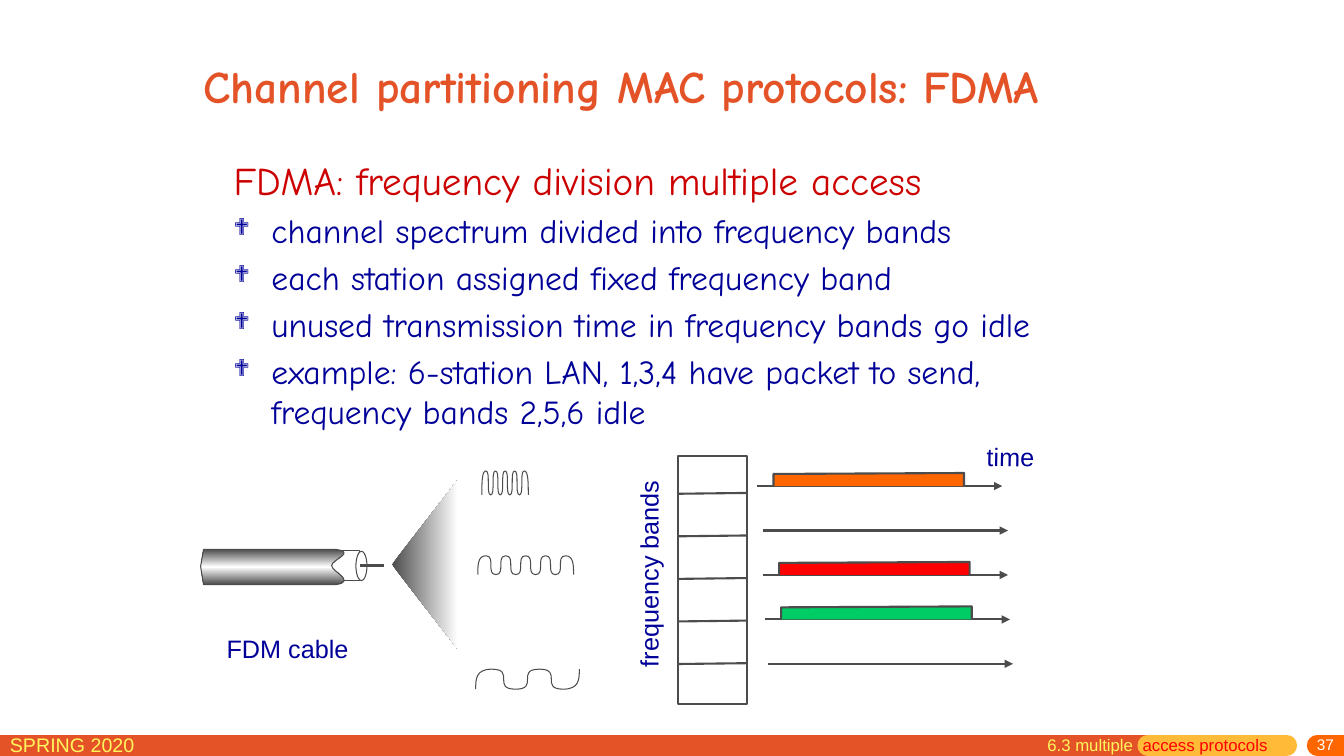
from dataclasses import dataclass
from copy import deepcopy

from lxml.etree import SubElement
from pptx import Presentation
from pptx.dml.color import RGBColor as Rgb
from pptx.enum.shapes import MSO_CONNECTOR as Connector, MSO_SHAPE as Preset
from pptx.enum.text import MSO_ANCHOR as Anchor, MSO_AUTO_SIZE as AutoSize, PP_ALIGN as Align
from pptx.oxml.ns import qn
from pptx.util import Pt


@dataclass(frozen=True)
class Theme:
    orange: str = "E45327"
    amber: str = "FFBA37"
    badge: str = "FF6600"
    yellow: str = "FFF65C"
    white: str = "FFFFFF"
    navy: str = "000099"
    crimson: str = "CC0000"
    red: str = "FF0000"
    green: str = "00CC66"
    gray: str = "4C4C4C"
    heading_font: str = "Comic Neue"
    label_font: str = "Arial"
    bullet_font: str = "Wingdings"
    title_size: float = 32.4
    lead_size: float = 28
    bullet_size: float = 24
    label_size: float = 18
    term_size: float = 14
    section_size: float = 12
    number_size: float = 11
    thin: float = 0.75
    medium: float = 1.5
    thick: float = 2.25
    footer: float = 15


class SlideBuilder:
    def __init__(self, page, theme):
        self.page = page
        self.theme = theme

    def span(self, para, text, size, color, font=None, bold=False):
        run = para.add_run()
        run.text = text
        run.font.size = Pt(size)
        run.font.name = font or self.theme.label_font
        run.font.bold = bold
        run.font.color.rgb = Rgb.from_string(color)

    def title(self, text, left, top, width, height):
        box = self.page.shapes.title
        box.left, box.top, box.width, box.height = map(Pt, (left, top, width, height))
        frame = box.text_frame
        frame.auto_size = AutoSize.NONE
        frame.word_wrap = True
        frame.vertical_anchor = Anchor.MIDDLE
        para = frame.paragraphs[0]
        para.alignment = Align.LEFT
        self.span(para, text, self.theme.title_size, self.theme.orange,
                  self.theme.heading_font, bold=True)

    def textbox(self, left, top, width, height, wrap=True, rotation=0):
        box = self.page.shapes.add_textbox(*map(Pt, (left, top, width, height)))
        box.rotation = rotation
        box.text_frame.word_wrap = wrap
        return box.text_frame

    def label(self, text, left, top, width, rotation=0):
        frame = self.textbox(left, top, width, 28.8, wrap=False, rotation=rotation)
        self.span(frame.paragraphs[0], text, self.theme.label_size, self.theme.navy)

    def bullets(self, lead, items, left, top, width, height):
        theme = self.theme
        frame = self.textbox(left, top, width, height)
        self.span(frame.paragraphs[0], lead, theme.lead_size, theme.crimson, theme.heading_font)
        for item in items:
            para = frame.add_paragraph()
            para.space_before = Pt(4.8)
            props = para._p.get_or_add_pPr()
            props.set("marL", str(Pt(27)))
            props.set("indent", str(Pt(-27)))
            SubElement(props, qn("a:buSzPct"), val="70000")
            SubElement(props, qn("a:buFont"), typeface=theme.bullet_font)
            SubElement(props, qn("a:buChar"), char="❖")
            self.span(para, item, theme.bullet_size, theme.navy, theme.heading_font)

    def line(self, start, end, color, weight, arrow=False, rounded=False):
        line = self.page.shapes.add_connector(Connector.STRAIGHT, *map(Pt, (*start, *end)))
        line.line.color.rgb = Rgb.from_string(color)
        line.line.width = Pt(weight)
        outline = line.line._get_or_add_ln()
        if rounded:
            outline.set("cap", "rnd")
        if arrow:
            SubElement(outline, qn("a:tailEnd"), type="triangle")
        SubElement(line._element.spPr, qn("a:effectLst"))

    def paint(self, shape, colors, weight, angle=0):
        """No colour leaves the shape open, one fills it, more make a gradient."""
        shape.shadow.inherit = False
        fill = shape.fill
        if not colors:
            fill.background()
        elif len(colors) == 1:
            fill.solid()
            fill.fore_color.rgb = Rgb.from_string(colors[0])
        else:
            fill.gradient()
            fill.gradient_angle = angle
            stop_list = shape._element.spPr.find(".//" + qn("a:gsLst"))
            for _ in colors[2:]:
                stop_list.append(deepcopy(stop_list[-1]))
            for index, (stop, color) in enumerate(zip(fill.gradient_stops, colors)):
                stop.position = index / (len(colors) - 1)
                stop.color.rgb = Rgb.from_string(color)
        if weight:
            shape.line.color.rgb = Rgb.from_string(self.theme.gray)
            shape.line.width = Pt(weight)
        else:
            shape.line.fill.background()

    def preset(self, kind, left, top, width, height, color, weight):
        shape = self.page.shapes.add_shape(kind, *map(Pt, (left, top, width, height)))
        self.paint(shape, (color,), weight)

    def outline(self, start, strokes, colors=(), weight=0, angle=0, close=False):
        """Each stroke is one point for a line, or two controls and an end for a curve."""
        builder = self.page.shapes.build_freeform(*map(Pt, start))
        builder.add_line_segments([(Pt(x), Pt(y)) for stroke in strokes for x, y in stroke],
                                  close=close)
        shape = builder.convert_to_shape()
        segments = iter(shape._element.findall(".//" + qn("a:lnTo")))
        for stroke in strokes:
            parts = [next(segments) for _ in stroke]
            if len(parts) == 3:
                curve = SubElement(parts[0].getparent(), qn("a:cubicBezTo"))
                parts[0].addprevious(curve)
                for part in parts:
                    curve.append(part[0])
                    part.getparent().remove(part)
        self.paint(shape, colors, weight, angle)

    def wave(self, left, lead, step, turns, top, bottom):
        """Signal rising from the bottom, with shorter first and last strokes."""
        x, y = left, bottom
        middle = (top + bottom) / 2
        strokes = []
        for turn in range(turns + 1):
            target = top if turn % 2 == 0 else bottom
            reach = x + (lead if turn in (0, turns) else step)
            if turn == 0:
                controls = (x, middle), (x, target)
            elif turn == turns:
                controls = (reach, y), (reach, middle)
            else:
                controls = (reach, y), (x, target)
            strokes.append((*controls, (reach, target)))
            x, y = reach, target
        self.outline((left, bottom), strokes, weight=self.theme.thin)


def draw_footer(slide, theme):
    for left, right, color in ((0, 820, theme.orange), (820, 919, theme.amber),
                               (941, 960, theme.badge)):
        slide.line((left, 532.3), (right, 532.3), color, theme.footer, rounded=True)
    term = slide.textbox(0, 520, 165, 22).paragraphs[0]
    slide.span(term, "SPRING 2020", theme.term_size, theme.yellow)
    frame = slide.textbox(774, 527, 186, 13)
    frame.margin_top, frame.margin_bottom = 0, Pt(3.6)
    frame.vertical_anchor = Anchor.MIDDLE
    frame.paragraphs[0].alignment = Align.RIGHT
    slide.span(frame.paragraphs[0], "37", theme.number_size, theme.white)
    section = slide.textbox(741, 521, 176, 22).paragraphs[0]
    slide.span(section, "6.3 multiple  ", theme.section_size, theme.yellow)
    slide.span(section, "access protocols", theme.section_size, theme.red)


def draw_bands(slide, theme):
    slide.preset(Preset.RECTANGLE, 484.5, 326, 49.3, 177, theme.white, theme.medium)
    for row in range(5):
        y = 352.7 + 30.4 * row
        slide.line((484.3, y), (533.6, y - 0.6), theme.gray, theme.medium)
    channels = ((541, theme.badge), (545, None), (545, theme.red),
                (546.5, theme.green), (548.6, None))
    for row, (left, color) in enumerate(channels):
        y = 347.2 + 31.75 * row
        slide.line((left, y), (left + 175, y), theme.gray, theme.medium, arrow=True)
        if color:
            near, far = left + 11.5, left + 147.6
            slide.outline((near, y), [[(near, y - 8.6)], [(far, y - 9.3)], [(far, y)]],
                          (color,), theme.medium)
    slide.label("frequency bands", 389.5, 395.3, 147.6, rotation=270)
    slide.label("time", 697.7, 311.8, 48.2, rotation=1.1)


def draw_cable(slide, theme):
    slide.outline((327, 342.7), [[(280, 403.2)], [(327, 463.7)]],
                  (theme.gray, theme.white), close=True)
    slide.preset(Preset.RECTANGLE, 236.2, 393.1, 20.9, 21.6, theme.white, theme.thin)
    sheath = [[(143.3, 404.6)], [(145.4, 417.6)], [(239.8, 417.6)],
              [(254.9, 415.4), (236.9, 408.2), (236.9, 404)],
              [(236.9, 399.6), (254.9, 394.6), (239.8, 392.4)]]
    slide.outline((145.4, 392.4), sheath, (theme.gray, theme.white, theme.gray),
                  theme.thin, 90, close=True)
    slide.preset(Preset.OVAL, 254.2, 393.8, 7.9, 20.9, theme.white, theme.thin)
    slide.line((257, 404), (274.3, 404), theme.gray, theme.thick)
    slide.wave(341.3, 5.8, 7.1, 9, 397, 410.4)
    slide.wave(344.2, 2.9, 3.42, 9, 336.4, 353.5)
    slide.wave(339.8, 11.5, 17, 4, 478, 492.3)
    slide.label("FDM cable", 154.8, 448.6, 101.5)


def main():
    deck = Presentation()
    deck.slide_width, deck.slide_height = Pt(960), Pt(540)
    theme = Theme()
    slide = SlideBuilder(deck.slides.add_slide(deck.slide_layouts[5]), theme)
    draw_footer(slide, theme)
    slide.title("Channel partitioning MAC protocols: FDMA", 138.2, 16.2, 679.7, 90)
    slide.bullets("FDMA: frequency division multiple access", (
        "channel spectrum divided into frequency bands",
        "each station assigned fixed frequency band",
        "unused transmission time in frequency bands go idle",
        "example: 6-station LAN, 1,3,4 have packet to send, frequency bands 2,5,6 idle",
    ), 159.8, 107.8, 647.3, 365.8)
    draw_bands(slide, theme)
    draw_cable(slide, theme)
    deck.save("out.pptx")


if __name__ == "__main__":
    main()
